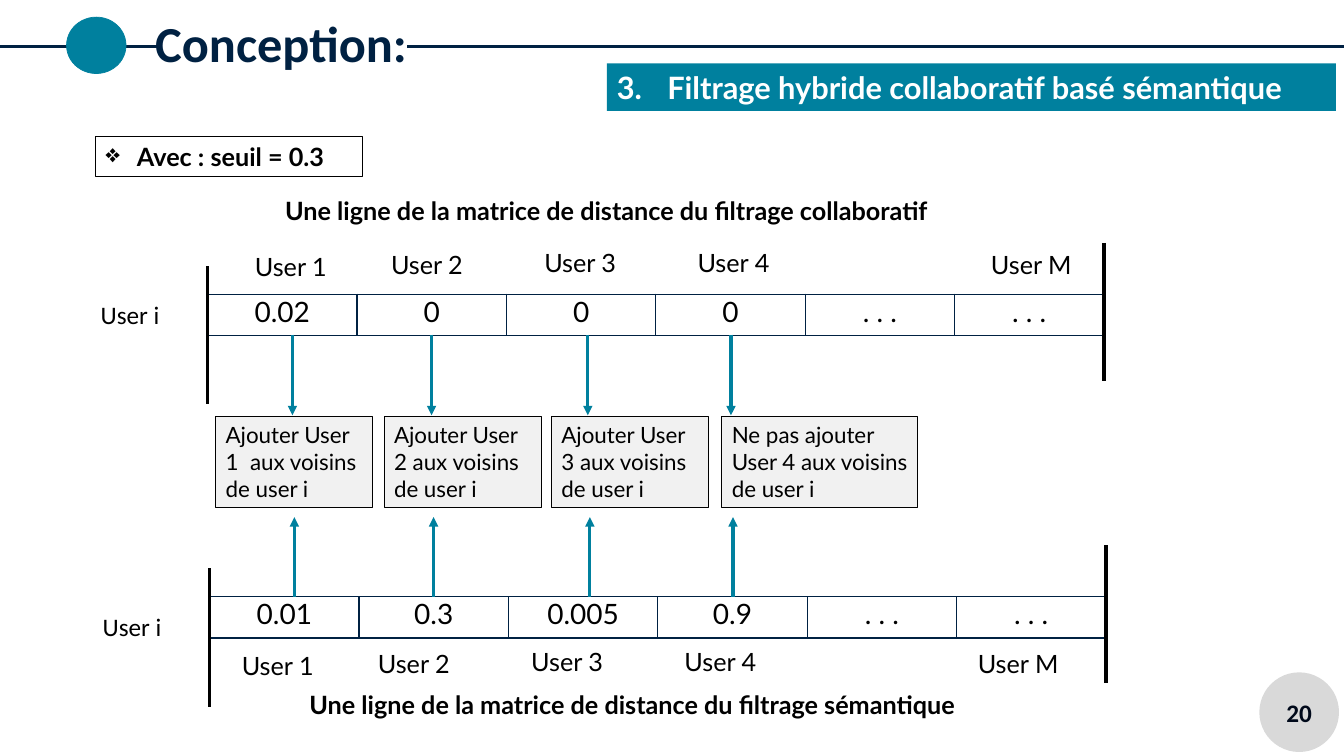
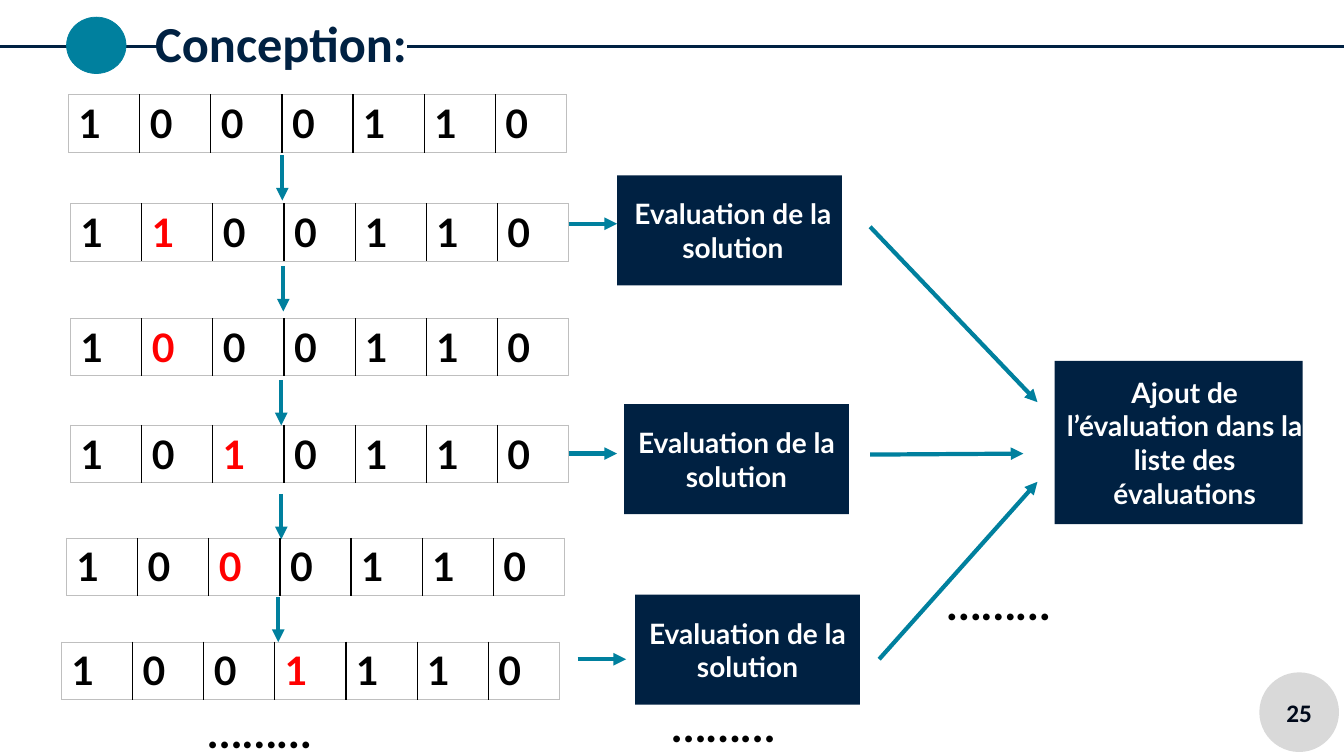
from lxml import etree
from pptx import Presentation
from pptx.dml.color import RGBColor
from pptx.enum import shapes, text
from pptx.oxml import ns
from pptx.util import Inches, Pt

TEAL, NAVY, BLACK, WHITE, RED = "00809E", "002142", "000000", "FFFFFF", "FF0000"
INK, PALE, SILVER, EDGE = "00091A", "F1F1F1", "D9D9D9", "BFBFBF"
TITLE = "Conception:"
RECTANGLE, ELLIPSE = shapes.MSO_SHAPE.RECTANGLE, shapes.MSO_SHAPE.OVAL
TOP, MIDDLE, BOTTOM = text.MSO_ANCHOR.TOP, text.MSO_ANCHOR.MIDDLE, text.MSO_ANCHOR.BOTTOM
LEFT, CENTER = text.PP_ALIGN.LEFT, text.PP_ALIGN.CENTER

# Slide 20: two distance rows and the decisions between them
SECTION = "Filtrage hybride collaboratif basé sémantique"
THRESHOLD = "Avec\u00a0: seuil = 0.3"
USERS = [("User 1", 2.43, 2.44), ("User 2", 3.78, 2.42), ("User 3", 5.3, 2.4),
         ("User 4", 6.82, 2.4), ("User M", 9.73, 2.42)]
ARROW_LEFTS = [2.9, 4.28, 5.83, 7.25]
MATRICES = [
    {"caption": "Une ligne de la matrice de distance du filtrage collaboratif",
     "caption_at": (2.73, 1.89), "values": ["0.02", "0", "0", "0", ". . .", ". . ."],
     "left": 2.06, "top": 2.92, "row_label": (0.9, 2.92), "users_shift": (0, 0),
     "arrow": (3.32, 4.12)},
    {"caption": "Une ligne de la matrice de distance du filtrage sémantique",
     "caption_at": (2.97, 6.79), "values": ["0.01", "0.3", "0.005", "0.9", ". . .", ". . ."],
     "left": 2.08, "top": 5.92, "row_label": (0.92, 6.02), "users_shift": (-0.13, 3.96),
     "arrow": (5.92, 5.13)},
]
DECISIONS = [("Ajouter User 1  aux voisins de user i", 2.14, 1.56),
             ("Ajouter User 2 aux voisins de user i", 3.81, 1.56),
             ("Ajouter User 3 aux voisins de user i", 5.47, 1.56),
             ("Ne pas ajouter User 4 aux voisins de user i", 7.16, 1.94)]

# Slide 25: successive solutions (bits, index of the flipped bit, left, top)
SOLUTIONS = [("1000110", None, 0.68, 0.94), ("1100110", 1, 0.7, 2.02),
             ("1000110", 1, 0.7, 3.16), ("1010110", 2, 0.7, 4.22),
             ("1000110", 2, 0.66, 5.34), ("1001110", 3, 0.61, 6.37)]
STEPS = [(2.8, 1.54), (2.81, 2.64), (2.79, 3.77), (2.79, 4.9), (2.76, 5.92)]
EVALUATION = "Evaluation de la solution"
EVALUATIONS = [  # box corner, left inset, start of incoming arrow, outgoing arrow
    ((6.12, 1.74), 0.07, (5.64, 2.22), (8.63, 2.25, 10.29, 3.99)),
    ((6.19, 4.01), 0, (5.64, 4.5), (8.63, 4.51, 10.15, 4.5)),
    ((6.3, 5.9), 0, (5.73, 6.54), (8.72, 6.54, 10.29, 4.78)),
]
COLLECT = "Ajout de l’évaluation dans la liste des évaluations"
ELLIPSES = [(1.96, 6.93), (6.56, 6.87), (9.29, 5.66)]


def color(value):
    return RGBColor.from_string(value)


def add_xml(parent, tag, **attributes):
    return etree.SubElement(parent, ns.qn(tag), attributes)


def write(text_frame, words, size, tint=BLACK, font="Lato", bold=False, align=LEFT,
          anchor=TOP, insets=(0.1, 0.05, 0.1, 0.05), bullet=None):
    """Fill a text frame; bullet is (indent, tag, attributes)."""
    text_frame.word_wrap = True
    text_frame.vertical_anchor = anchor
    (text_frame.margin_left, text_frame.margin_top,
     text_frame.margin_right, text_frame.margin_bottom) = map(Inches, insets)
    text_frame.text = words
    paragraph = text_frame.paragraphs[0]
    paragraph.alignment = align
    if bullet:
        indent, tag, attributes = bullet
        properties = paragraph._p.get_or_add_pPr()
        properties.set("marL", str(Inches(indent)))
        properties.set("indent", str(-Inches(indent)))
        add_xml(properties, tag, **attributes)
    style(paragraph.runs[0].font, size, tint, font, bold)
    return paragraph


def style(font, size, tint, name, bold):
    font.size, font.name, font.bold = Pt(size), name, bold
    font.color.rgb = color(tint)


def add_label(slide, words, left, top, width, height, size, **options):
    box = slide.shapes.add_textbox(*map(Inches, (left, top, width, height)))
    write(box.text_frame, words, size, **options)


def add_box(slide, kind, left, top, width, height, fill=None, line=None, line_width=0.75):
    shape = slide.shapes.add_shape(kind, *map(Inches, (left, top, width, height)))
    shape.shadow.inherit = False
    if fill:
        shape.fill.solid()
        shape.fill.fore_color.rgb = color(fill)
    else:
        shape.fill.background()
    if line:
        shape.line.color.rgb = color(line)
        shape.line.width = Pt(line_width)
    else:
        shape.line.fill.background()
    return shape


def add_line(slide, x1, y1, x2, y2, tint, width=2.25, arrow=False):
    line = slide.shapes.add_connector(shapes.MSO_CONNECTOR.STRAIGHT,
                                      *map(Inches, (x1, y1, x2, y2)))
    line.line.color.rgb = color(tint)
    line.line.width = Pt(width)
    if arrow:
        add_xml(line.line._get_or_add_ln(), "a:tailEnd", type="triangle")
    add_xml(line._element.spPr, "a:effectLst")


def add_row(slide, values, left, top, width, height, size, inner, outer,
            insets, align=LEFT, bold=False, marked=None):
    """Draw a one-row table; inner and outer are (colour, points) borders."""
    frame = slide.shapes.add_table(1, len(values), *map(Inches, (left, top, width, height)))
    table = frame.table
    table.first_row = table.horz_banding = False
    last = len(values) - 1
    for index, value in enumerate(values):
        cell = table.cell(0, index)
        borders = {"a:lnL": inner if index else outer,
                   "a:lnR": inner if index < last else outer,
                   "a:lnT": outer, "a:lnB": outer}
        for tag, (tint, points) in borders.items():
            border = add_xml(cell._tc.get_or_add_tcPr(), tag, w=str(Pt(points)))
            add_xml(add_xml(border, "a:solidFill"), "a:srgbClr", val=tint)
        cell.fill.solid()
        cell.fill.fore_color.rgb = color(WHITE)
        (cell.margin_left, cell.margin_top,
         cell.margin_right, cell.margin_bottom) = map(Inches, insets)
        cell.text_frame.text = value
        paragraph = cell.text_frame.paragraphs[0]
        paragraph.alignment = align
        style(paragraph.runs[0].font, size, RED if index == marked else BLACK, "Lato", bold)


def add_slide(presentation, number):
    """Add a slide with the shared title band and page badge."""
    slide = presentation.slides.add_slide(presentation.slide_layouts[5])
    title = slide.shapes.title
    title.left, title.top, title.width, title.height = map(Inches, (1.41, -0.01, 6.06, 0.87))
    paragraph = write(title.text_frame, TITLE, 36, NAVY, "Calibri", True,
                      anchor=BOTTOM, insets=[0.13] * 4)
    title.text_frame.auto_size = text.MSO_AUTO_SIZE.NONE
    paragraph.line_spacing = 0.9
    for start, end in [(0, 1.57), (4.04, 13.33)]:
        add_line(slide, start, 0.46, end, 0.46, NAVY)
    add_box(slide, ELLIPSE, 0.66, 0.17, 0.59, 0.56, TEAL, TEAL, 0.5)
    badge = add_box(slide, ELLIPSE, 12.49, 6.67, 0.79, 0.79, SILVER)
    write(badge.text_frame, number, 18, INK, "Calibri", True, CENTER, MIDDLE)
    return slide


def add_matrix(slide, matrix):
    left, top, width = matrix["left"], matrix["top"], 8.89
    border = (NAVY, 1)
    add_row(slide, matrix["values"], left, top, width, 0.41, 20, border, border,
            (0.07, 0, 0.07, 0), CENTER)
    for x, rise in [(left, 0.28), (left + width, 0.51)]:
        add_line(slide, x, top - rise, x, top - rise + 1.37, BLACK)
    start, end = matrix["arrow"]
    for arrow_left in ARROW_LEFTS:
        x = arrow_left + left - MATRICES[0]["left"]
        add_line(slide, x, start, x, end, TEAL, arrow=True)
    add_label(slide, matrix["caption"], *matrix["caption_at"], 7.43, 0.4, 18, bold=True)
    add_label(slide, "User i", *matrix["row_label"], 1.22, 0.41, 18, font="Calibri")
    shift_x, shift_y = matrix["users_shift"]
    for name, x, y in USERS:
        add_label(slide, name, x + shift_x, y + shift_y, 1.22, 0.41, 18)


def build_filtering(presentation):
    slide = add_slide(presentation, "20")
    section = add_box(slide, RECTANGLE, 6.02, 0.63, 7.23, 0.47, TEAL)
    write(section.text_frame, SECTION, 22, WHITE, bold=True,
          bullet=(0.5, "a:buAutoNum", {"type": "arabicPeriod", "startAt": "3"}))
    threshold = add_box(slide, RECTANGLE, 0.95, 1.35, 2.65, 0.4, line=BLACK)
    write(threshold.text_frame, THRESHOLD, 18, bold=True,
          bullet=(0.31, "a:buChar", {"char": "❖"}))
    for matrix in MATRICES:
        add_matrix(slide, matrix)
    for words, left, width in DECISIONS:
        box = add_box(slide, RECTANGLE, left, 4.13, width, 0.91, PALE, BLACK)
        write(box.text_frame, words, 16)


def build_evaluation(presentation):
    slide = add_slide(presentation, "25")
    for bits, flipped, left, top in SOLUTIONS:
        add_row(slide, bits, left, top, 4.94, 0.57, 28, (BLACK, 1), (EDGE, 0.75),
                (0.1, 0.05, 0.1, 0.05), bold=True, marked=flipped)
    for x, y in STEPS:
        add_line(slide, x, y, x, y + 0.45, TEAL, 3, True)
    boxes = [(EVALUATION, *corner, 2.23, 1.09, inset) for corner, inset, _, _ in EVALUATIONS]
    boxes.append((COLLECT, 10.46, 3.58, 2.46, 1.62, 0.12))
    for words, left, top, width, height, inset in boxes:
        box = add_box(slide, RECTANGLE, left, top, width, height, NAVY)
        write(box.text_frame, words, 20, WHITE, bold=True, align=CENTER, anchor=MIDDLE,
              insets=(inset, 0, 0, 0))
    for _, _, (x, y), outgoing in EVALUATIONS:
        add_line(slide, x, y, x + 0.48, y, TEAL, 3, True)
        add_line(slide, *outgoing, TEAL, 3, True)
    for left, top in ELLIPSES:
        add_label(slide, "………", left, top, 2.67, 0.64, 32, bold=True)


def main():
    presentation = Presentation()
    presentation.slide_width, presentation.slide_height = Inches(13.33), Inches(7.5)
    build_filtering(presentation)
    build_evaluation(presentation)
    presentation.save("out.pptx")


if __name__ == "__main__":
    main()
